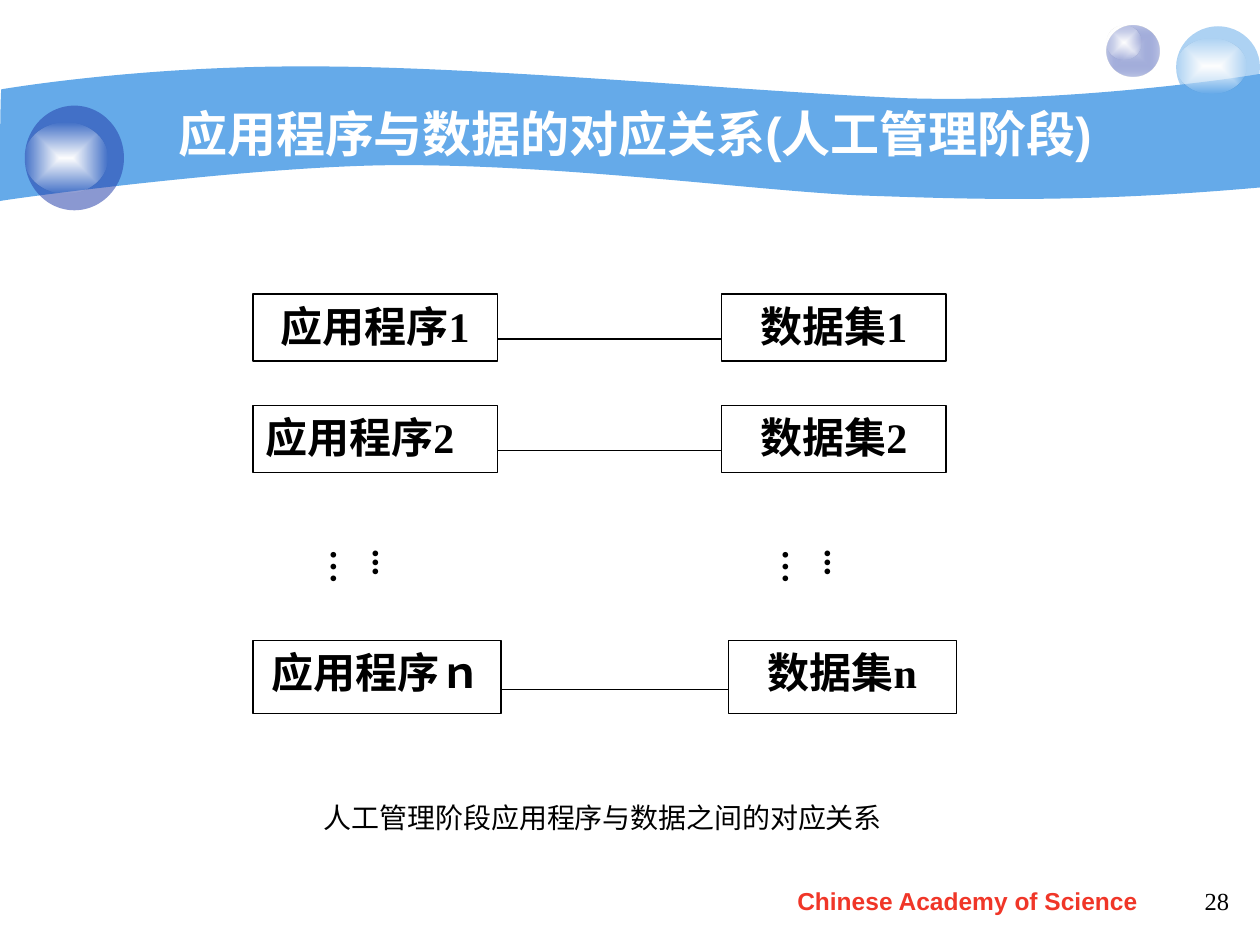
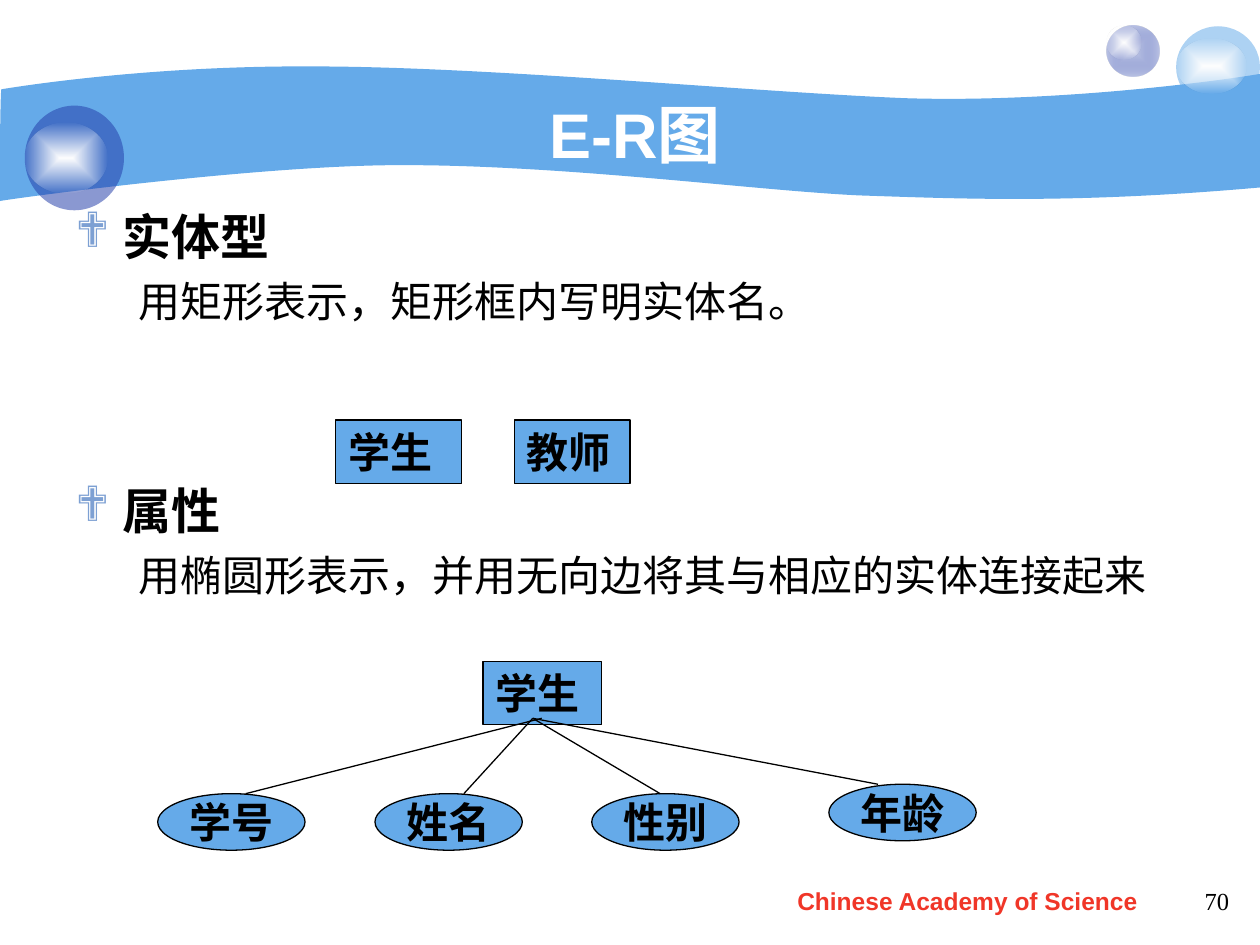
from dataclasses import dataclass
from typing import Optional

import pptx
import pptx.dml.color
import pptx.enum.shapes
import pptx.enum.text
import pptx.oxml
import pptx.oxml.ns
import pptx.util
from lxml import etree

Cm = pptx.util.Cm
Pt = pptx.util.Pt
qn = pptx.oxml.ns.qn
ALIGN = pptx.enum.text.PP_ALIGN
ANCHOR = pptx.enum.text.MSO_ANCHOR
PRESET = pptx.enum.shapes.MSO_SHAPE

SKY, NAVY, LILAC, RED = "65AAE9", "233DA9", "C6CCE8", "F03628"
BULLET, BLACK, WHITE, OFF_WHITE = "7DA0D3", "000000", "FFFFFF", "FEFEFE"
SANS, SERIF = "Arial", "Times New Roman"

BAND_START = (0.03, 1.8)
BAND_SEGMENTS = [
    ((0.05, 1.8), (2.79, 1.32), (6.3, 1.34)),
    ((9.8, 1.34), (15.11, 1.85), (18.24, 1.98)),
    ((21.36, 2.08), (24.79, 1.6), (25.4, 1.49)),
    ((25.4, 3.78),),
    ((21.67, 4.11), (19.43, 4.01), (17.32, 3.94)),
    ((15.21, 3.84), (11.35, 3.32), (8.05, 3.33)),
    ((5.16, 3.33), (-0.05, 4.04), (-0.03, 4.06)),
    ((0, 4.06), (0, 1.8), (0.03, 1.8)),
]


@dataclass(frozen=True)
class Area:
    left: float
    top: float
    width: float
    height: float

    def emu(self) -> tuple:
        return Cm(self.left), Cm(self.top), Cm(self.width), Cm(self.height)


@dataclass(frozen=True)
class Style:
    size: float
    font: str = SERIF
    color: str = BLACK
    bold: bool = True
    align: ALIGN = ALIGN.CENTER
    anchor: ANCHOR = ANCHOR.TOP
    wrap: bool = True


@dataclass(frozen=True)
class Bubble:
    area: Area
    color: str
    alpha: int
    glow: Area
    center: Optional[str] = None


@dataclass(frozen=True)
class Pair:
    program_suffix: str
    data_suffix: str
    top: float
    height: float
    program_width: float
    data_left: float
    data_width: float
    align: ALIGN = ALIGN.CENTER


@dataclass(frozen=True)
class Attribute:
    name: str
    left: float
    top: float
    edge_start: float
    edge_end: float


@dataclass(frozen=True)
class Passage:
    text: str
    heading: bool
    space_before: float


BUBBLES = [
    Bubble(Area(22.3, 0.52, 1.07, 1.02), NAVY, 31, Area(22.3, 0.52, 0.71, 0.69), LILAC),
    Bubble(Area(23.71, 0.53, 1.69, 1.65), SKY, 53, Area(23.71, 0.79, 1.42, 1.09)),
    Bubble(Area(0.5, 2.13, 2.0, 2.11), NAVY, 53, Area(0.5, 2.48, 1.67, 1.42)),
]
PAIRS = [
    Pair("1", "1", 5.93, 1.35, 4.93, 14.55, 4.52),
    Pair("2", "2", 8.18, 1.35, 4.93, 14.55, 4.52, ALIGN.JUSTIFY),
    Pair("ｎ", "n", 12.91, 1.48, 5.0, 14.68, 4.6),
]
PASSAGES = [
    Passage("实体型", True, 0),
    Passage("用矩形表示，矩形框内写明实体名。", False, 6),
    Passage("属性", True, 88),
    Passage("用椭圆形表示，并用无向边将其与相应的实体连接起来", False, 6),
]
ENTITIES = [
    ("学生", Area(6.77, 8.47, 2.54, 1.28)),
    ("教师", Area(10.37, 8.47, 2.33, 1.28)),
    ("学生", Area(9.74, 13.34, 2.39, 1.27)),
]
ATTRIBUTES = [
    Attribute("学号", 3.18, 16.0, 10.92, 4.95),
    Attribute("姓名", 7.56, 16.0, 10.74, 9.35),
    Attribute("性别", 11.93, 16.0, 10.74, 13.31),
    Attribute("年龄", 16.71, 15.81, 10.74, 17.7),
]

LABEL = Style(24)
ENTITY_LABEL = Style(24, align=ALIGN.LEFT)
ATTRIBUTE_LABEL = Style(24, anchor=ANCHOR.MIDDLE, wrap=False)


def rgb(value: str) -> pptx.dml.color.RGBColor:
    return pptx.dml.color.RGBColor.from_string(value)


def style_font(font, style: Style) -> None:
    font.name = style.font
    font.size = Pt(style.size)
    font.bold = style.bold
    font.color.rgb = rgb(style.color)


def write(shape, text: str, style: Style) -> None:
    frame = shape.text_frame
    frame.text = text
    frame.word_wrap = style.wrap
    frame.vertical_anchor = style.anchor
    paragraph = frame.paragraphs[0]
    paragraph.alignment = style.align
    style_font(paragraph.runs[0].font, style)


def add_text(slide, area: Area, text: str, style: Style):
    box = slide.shapes.add_textbox(*area.emu())
    write(box, text, style)
    return box


def paint(shape, fill: str, outlined: bool) -> None:
    shape.shadow.inherit = False
    shape.fill.solid()
    shape.fill.fore_color.rgb = rgb(fill)
    if outlined:
        shape.line.color.rgb = rgb(BLACK)
        shape.line.width = Pt(0.75)
    else:
        shape.line.fill.background()


def add_figure(slide, preset, area: Area, fill: str, outlined: bool = True):
    figure = slide.shapes.add_shape(preset, *area.emu())
    paint(figure, fill, outlined)
    return figure


def add_labelled(slide, preset, area: Area, fill: str, text: str, style: Style) -> None:
    write(add_figure(slide, preset, area, fill), text, style)


def add_edge(slide, x1: float, y1: float, x2: float, y2: float) -> None:
    edge = slide.shapes.add_connector(
        pptx.enum.shapes.MSO_CONNECTOR.STRAIGHT, Cm(x1), Cm(y1), Cm(x2), Cm(y2))
    edge.line.color.rgb = rgb(BLACK)
    edge.line.width = Pt(0.75)
    etree.SubElement(edge._element.spPr, qn("a:effectLst"))


def set_alpha(shape, percent: int) -> None:
    color = shape._element.spPr.find(".//" + qn("a:srgbClr"))
    etree.SubElement(color, qn("a:alpha"), val=str(percent * 1000))


def set_radial(shape, center: str, rim: str, rim_alpha: int) -> None:
    properties = shape._element.spPr
    gradient = pptx.oxml.parse_xml(
        f'<a:gradFill {pptx.oxml.ns.nsdecls("a")} rotWithShape="1"><a:gsLst>'
        f'<a:gs pos="0"><a:srgbClr val="{center}"/></a:gs>'
        f'<a:gs pos="100000"><a:srgbClr val="{rim}">'
        f'<a:alpha val="{rim_alpha * 1000}"/></a:srgbClr></a:gs></a:gsLst>'
        '<a:path path="rect"><a:fillToRect l="50000" t="50000" r="50000" b="50000"/>'
        '</a:path></a:gradFill>')
    properties.replace(properties.find(qn("a:solidFill")), gradient)


def add_band(slide) -> None:
    builder = slide.shapes.build_freeform(Cm(BAND_START[0]), Cm(BAND_START[1]))
    builder.add_line_segments(
        [(Cm(x), Cm(y)) for x, y in (segment[-1] for segment in BAND_SEGMENTS)])
    band = builder.convert_to_shape()
    paint(band, SKY, outlined=False)
    straights = list(band._element.spPr.iter(qn("a:lnTo")))
    for straight, segment in zip(straights, BAND_SEGMENTS):
        if len(segment) == 3:
            curve = etree.Element(qn("a:cubicBezTo"))
            for x, y in segment:
                etree.SubElement(curve, qn("a:pt"),
                                 x=str(Cm(x) - band.left), y=str(Cm(y) - band.top))
            straight.getparent().replace(straight, curve)


def add_bubble(slide, bubble: Bubble) -> None:
    ball = add_figure(slide, PRESET.OVAL, bubble.area, bubble.color, outlined=False)
    if bubble.center:
        set_radial(ball, bubble.center, bubble.color, bubble.alpha)
    else:
        set_alpha(ball, bubble.alpha)
    glow = add_figure(slide, PRESET.OVAL, bubble.glow, WHITE, outlined=False)
    set_radial(glow, WHITE, OFF_WHITE, 0)


def add_page(deck, title: str, title_size: float, number: int):
    slide = deck.slides.add_slide(deck.slide_layouts[6])
    add_band(slide)
    for bubble in BUBBLES:
        add_bubble(slide, bubble)
    add_text(slide, Area(2.54, 1.9, 20.52, 1.57), title,
             Style(title_size, SANS, WHITE, anchor=ANCHOR.MIDDLE))
    add_text(slide, Area(14.5, 17.73, 10.01, 0.89), "Chinese Academy of Science",
             Style(14, SANS, RED))
    add_text(slide, Area(19.11, 17.73, 5.92, 1.32), str(number),
             Style(14, bold=False, align=ALIGN.RIGHT))
    return slide


def add_ellipsis(slide, left: float) -> None:
    dots = add_text(slide, Area(left, 10.83, 1.88, 1.7), "...…", Style(20, align=ALIGN.LEFT))
    frame = dots.text_frame
    frame.margin_left = frame.margin_right = Cm(0.13)
    frame.margin_top = frame.margin_bottom = Cm(0.25)
    frame._txBody.bodyPr.set("vert", "eaVert")


def add_pair(slide, pair: Pair) -> None:
    program = Area(5.1, pair.top, pair.program_width, pair.height)
    data = Area(pair.data_left, pair.top, pair.data_width, pair.height)
    add_labelled(slide, PRESET.RECTANGLE, program, WHITE, "应用程序" + pair.program_suffix,
                 Style(24, align=pair.align))
    add_labelled(slide, PRESET.RECTANGLE, data, WHITE, "数据集" + pair.data_suffix, LABEL)
    middle = pair.top + 0.67 * pair.height
    add_edge(slide, program.left + program.width, middle, data.left, middle)


def add_passages(slide) -> None:
    frame = slide.shapes.add_textbox(*Area(1.27, 4.04, 22.86, 12.5).emu()).text_frame
    frame.word_wrap = True
    for index, passage in enumerate(PASSAGES):
        paragraph = frame.add_paragraph() if index else frame.paragraphs[0]
        paragraph.text = passage.text
        properties = paragraph._p.get_or_add_pPr()
        properties.set("marL", str(Cm(0.95 if passage.heading else 1.27)))
        if passage.heading:
            properties.set("indent", str(-Cm(0.95)))
            color = etree.SubElement(properties, qn("a:buClr"))
            etree.SubElement(color, qn("a:srgbClr"), val=BULLET)
            etree.SubElement(properties, qn("a:buFont"), typeface="Wingdings", charset="2")
            etree.SubElement(properties, qn("a:buChar"), char="❖")
        paragraph.space_before = Pt(passage.space_before)
        style_font(paragraph.runs[0].font,
                   Style(28 if passage.heading else 24, SANS, bold=passage.heading))


def build_correspondence(deck) -> None:
    slide = add_page(deck, "应用程序与数据的对应关系(人工管理阶段)", 28, 28)
    for pair in PAIRS:
        add_pair(slide, pair)
    for left in (6.48, 15.59):
        add_ellipsis(slide, left)
    add_text(slide, Area(5.25, 16.02, 13.82, 1.02), "人工管理阶段应用程序与数据之间的对应关系",
             Style(16, bold=False, wrap=False))


def build_er_diagram(deck) -> None:
    slide = add_page(deck, "E-R图", 36, 70)
    add_passages(slide)
    for name, area in ENTITIES:
        add_labelled(slide, PRESET.RECTANGLE, area, SKY, name, ENTITY_LABEL)
    for attribute in ATTRIBUTES:
        add_labelled(slide, PRESET.OVAL, Area(attribute.left, attribute.top, 2.97, 1.14),
                     SKY, attribute.name, ATTRIBUTE_LABEL)
        add_edge(slide, attribute.edge_start, 14.48, attribute.edge_end, attribute.top)


def main() -> None:
    deck = pptx.Presentation()
    deck.slide_width, deck.slide_height = Cm(25.4), Cm(19.05)
    build_correspondence(deck)
    build_er_diagram(deck)
    deck.save("out.pptx")


if __name__ == "__main__":
    main()
